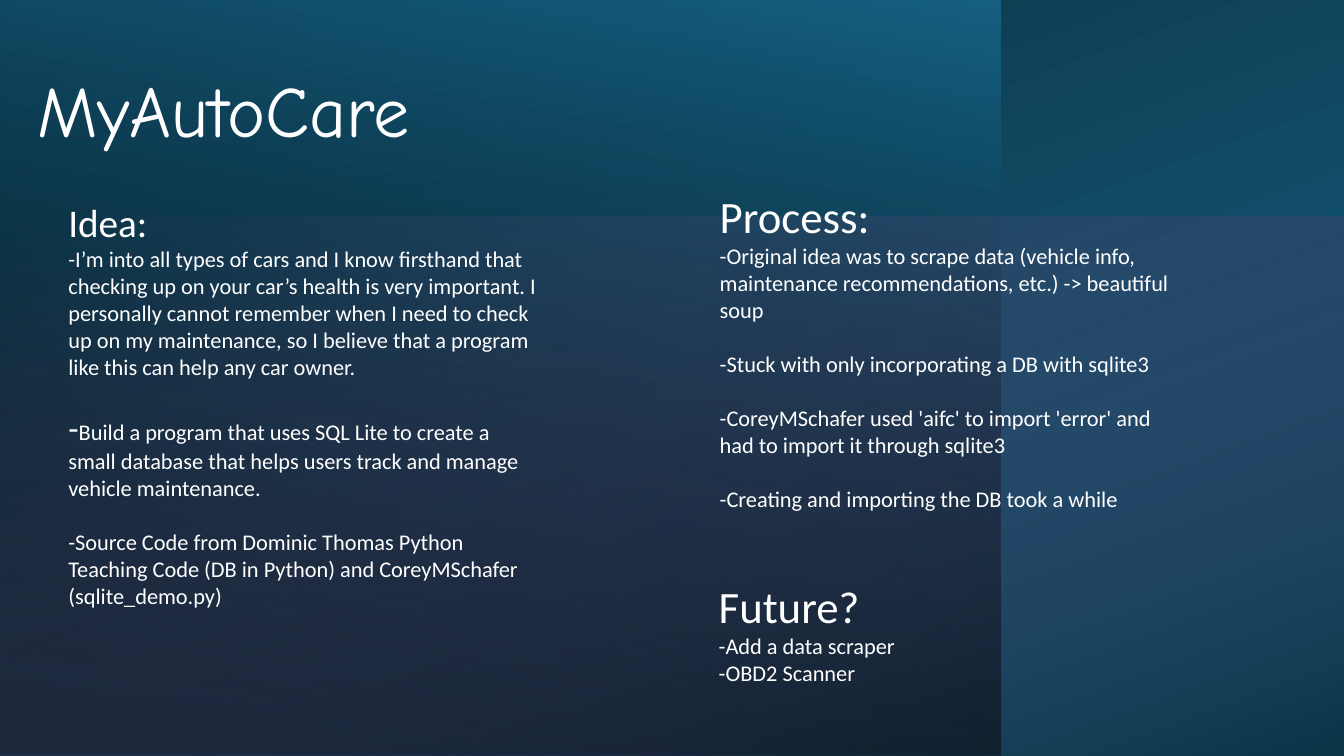
from lxml import etree
from pptx import Presentation, util as u
from pptx.dml import color
from pptx.enum import shapes, text
from pptx.oxml import ns

WIDTH, HEIGHT = 13.33, 7.5
WHITE, BLUE, NAVY, BLACK, PINK = "FFFFFF", "156082", "0B3041", "000000", "D86ECC"
BODY_SIZE = 16
LINE_GAP = 19.5  # one body line, in points


def rgb(value):
    return color.RGBColor.from_string(value)


def fill_gradient(shape, stops, angle):
    """Stops are (position %, colour, opacity %); the angle runs clockwise."""
    shape.fill.gradient()
    gradient = shape._element.spPr.find(ns.qn("a:gradFill"))
    for child in list(gradient):
        gradient.remove(child)
    stop_list = etree.SubElement(gradient, ns.qn("a:gsLst"))
    for position, value, opacity in stops:
        stop = etree.SubElement(stop_list, ns.qn("a:gs"), pos=str(position * 1000))
        tint = etree.SubElement(stop, ns.qn("a:srgbClr"), val=value)
        if opacity < 100:
            etree.SubElement(tint, ns.qn("a:alpha"), val=str(opacity * 1000))
    etree.SubElement(gradient, ns.qn("a:lin"), ang=str(angle * 60000), scaled="0")


def add_panel(slide, box, rotation, stops, angle):
    """Fill the visible box with a mirrored, turned gradient rectangle."""
    left, top, width, height = box
    center_x, center_y = left + width / 2, top + height / 2
    if rotation % 180:
        width, height = height, width
    shape = slide.shapes.add_shape(
        shapes.MSO_SHAPE.RECTANGLE, u.Inches(center_x - width / 2),
        u.Inches(center_y - height / 2), u.Inches(width), u.Inches(height))
    shape.rotation = rotation
    shape._element.spPr.xfrm.set("flipH", "1")
    shape.shadow.inherit = False
    shape.line.fill.background()
    fill_gradient(shape, stops, angle)


def add_background(slide):
    panels = [
        ((0, 0, WIDTH, HEIGHT), 270, [(8, BLUE, 100), (100, NAVY, 100)], 200),
        ((0, 0, 9.92, HEIGHT), 180, [(8, BLACK, 52), (100, BLUE, 100)], 80),
        ((0, 2.15, WIDTH, 5.35), 270, [(0, PINK, 0), (100, BLACK, 46)], 20),
    ]
    for panel in panels:
        add_panel(slide, *panel)


def add_text(slide, box, paragraphs):
    """Each paragraph is (gap before, runs); each run is (words, size, font)."""
    shape = slide.shapes.add_textbox(*[u.Inches(length) for length in box])
    frame = shape.text_frame
    frame.word_wrap = True
    frame.vertical_anchor = text.MSO_ANCHOR.TOP
    for index, (gap, runs) in enumerate(paragraphs):
        paragraph = frame.add_paragraph() if index else frame.paragraphs[0]
        paragraph.space_before = u.Pt(gap)
        for words, size, font_name in runs:
            run = paragraph.add_run()
            run.text = words
            for name, value in {"size": u.Pt(size), "name": font_name}.items():
                setattr(run.font, name, value)
            run.font.color.rgb = rgb(WHITE)


def add_section(slide, box, heading, heading_size, notes, gap=LINE_GAP):
    """A heading with its notes; the gap parts each note from the one before."""
    paragraphs = [(0, [(heading, heading_size, "Calibri")])]
    for index, note in enumerate(notes):
        runs = note if isinstance(note, list) else [(note, BODY_SIZE)]
        paragraphs.append((gap if index else 0,
                           [(words, size, "Calibri") for words, size in runs]))
    add_text(slide, box, paragraphs)


def main():
    presentation = Presentation()
    presentation.slide_width = u.Inches(WIDTH)
    presentation.slide_height = u.Inches(HEIGHT)
    slide = presentation.slides.add_slide(presentation.slide_layouts[6])
    add_background(slide)

    # Title
    add_text(slide, (0.27, 0.6, 8.67, 0.96),
             [(0, [("MyAutoCare", 51.5, "Comic Neue")])])

    # Left column
    add_section(slide, (0.58, 1.92, 4.87, 4.95), "Idea:", 28, [
        "-I’m into all types of cars and I know firsthand that checking up on "
        "your car’s health is very important. I personally cannot remember when "
        "I need to check up on my maintenance, so I believe that a program like "
        "this can help any car owner.",
        [("-", 24),
         ("Build a program that uses SQL Lite to create a small database that "
          "helps users track and manage vehicle maintenance.", BODY_SIZE)],
        "-Source Code from Dominic Thomas Python Teaching Code (DB in Python) "
        "and CoreyMSchafer (sqlite_demo.py)",
    ])

    # Right column
    add_section(slide, (7.04, 1.82, 4.86, 3.87), "Process:", 32, [
        "-Original idea was to scrape data (vehicle info, maintenance "
        "recommendations, etc.) -> beautiful soup",
        "-Stuck with only incorporating a DB with sqlite3",
        "-CoreyMSchafer used 'aifc' to import 'error' and had to import it "
        "through sqlite3",
        "-Creating and importing the DB took a while",
    ])
    add_section(slide, (7.03, 5.69, 3.93, 1.18), "Future?", 32,
                ["-Add a data scraper", "-OBD2 Scanner"], gap=0)

    presentation.save("out.pptx")


if __name__ == "__main__":
    main()
